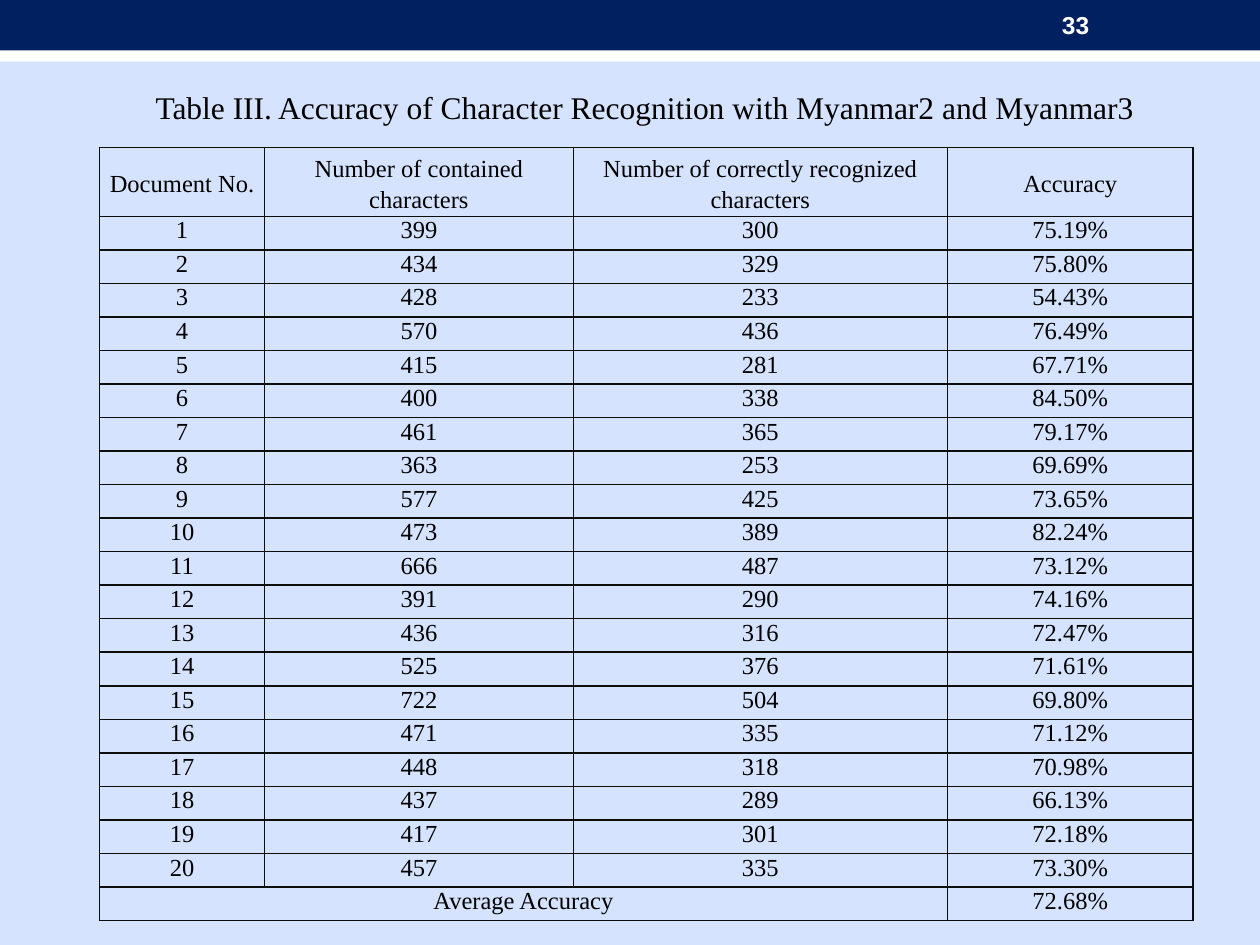
from lxml.etree import SubElement
from pptx import Presentation
from pptx.dml.color import RGBColor
from pptx.enum.shapes import MSO_SHAPE
from pptx.enum.text import MSO_ANCHOR, PP_ALIGN
from pptx.oxml.ns import qn
from pptx.util import Inches, Pt


def rgb(value):
    return RGBColor.from_string(value)


def style(p, size, font, color, bold=False):
    f = p.runs[0].font
    f.size, f.name, f.bold = Pt(size), font, bold
    f.color.rgb = rgb(color)


prs = Presentation()
prs.slide_width, prs.slide_height = Inches(10), Inches(7.5)
s = prs.slides.add_slide(prs.slide_layouts[6])
s.background.fill.solid()
s.background.fill.fore_color.rgb = rgb("D5E3FF")

for top, height, color in [(0.24, 0.25, "FFFFFF"), (0, 0.4, "002060")]:
    sp = s.shapes.add_shape(MSO_SHAPE.RECTANGLE, 0, Inches(top), Inches(10), Inches(height))
    sp.shadow.inherit = False
    sp.fill.solid()
    sp.fill.fore_color.rgb = rgb(color)
    sp.line.fill.background()

tf = s.shapes.add_textbox(Inches(8.33), Inches(0.02), Inches(1.17), Inches(0.36)).text_frame
tf.word_wrap = True
tf.vertical_anchor = MSO_ANCHOR.MIDDLE
tf.text = "33"
style(tf.paragraphs[0], 14, "Arial", "FFFFFF", True)

header = ["Document No.", "Number of contained characters",
          "Number of correctly recognized characters", "Accuracy"]
results = [
    (399, 300, "75.19%"), (434, 329, "75.80%"), (428, 233, "54.43%"), (570, 436, "76.49%"),
    (415, 281, "67.71%"), (400, 338, "84.50%"), (461, 365, "79.17%"), (363, 253, "69.69%"),
    (577, 425, "73.65%"), (473, 389, "82.24%"), (666, 487, "73.12%"), (391, 290, "74.16%"),
    (436, 316, "72.47%"), (525, 376, "71.61%"), (722, 504, "69.80%"), (471, 335, "71.12%"),
    (448, 318, "70.98%"), (437, 289, "66.13%"), (417, 301, "72.18%"), (457, 335, "73.30%"),
]
rows = [header]
rows += [(number, *result) for number, result in enumerate(results, 1)]
rows.append(("Average Accuracy", "", "", "72.68%"))

table = s.shapes.add_table(len(rows), 4, Inches(0.79), Inches(1.17),
                           Inches(8.67), Inches(6.11)).table
table.first_row = table.horz_banding = False
for column, width in zip(table.columns, [1.31, 2.45, 2.97, 1.95]):
    column.width = Inches(width)
for i, row in enumerate(rows):
    table.rows[i].height = Inches(0.52 if i == 0 else (6.11 - 0.52) / (len(rows) - 1))
    for j, value in enumerate(row):
        cell = table.cell(i, j)
        cell.margin_left = cell.margin_right = Inches(0.07)
        cell.margin_top, cell.margin_bottom = Inches(0.01), 0
        cell.vertical_anchor = MSO_ANCHOR.MIDDLE
        tcPr = cell._tc.get_or_add_tcPr()
        for side in ["a:lnL", "a:lnR", "a:lnT", "a:lnB"]:
            ln = SubElement(tcPr, qn(side), w=str(Pt(1)))
            SubElement(SubElement(ln, qn("a:solidFill")), qn("a:srgbClr"), val="0D0D0D")
        cell.fill.background()
        if value == "":
            continue
        p = cell.text_frame.paragraphs[0]
        p.text = str(value)
        p.alignment = PP_ALIGN.CENTER
        p.line_spacing = 1.15 if i == 0 else Pt(12)
        style(p, 14, "Times New Roman", "000000")
last = len(rows) - 1
table.cell(last, 0).merge(table.cell(last, 2))

tf = s.shapes.add_textbox(Inches(0.58), Inches(0.5), Inches(9.08), Inches(0.51)).text_frame
tf.word_wrap = True
p = tf.paragraphs[0]
p.text = "Table III. Accuracy of Character Recognition with Myanmar2 and Myanmar3"
p.alignment = PP_ALIGN.CENTER
p.line_spacing = 1.5
style(p, 18, "Times New Roman", "000000")

prs.save("out.pptx")
